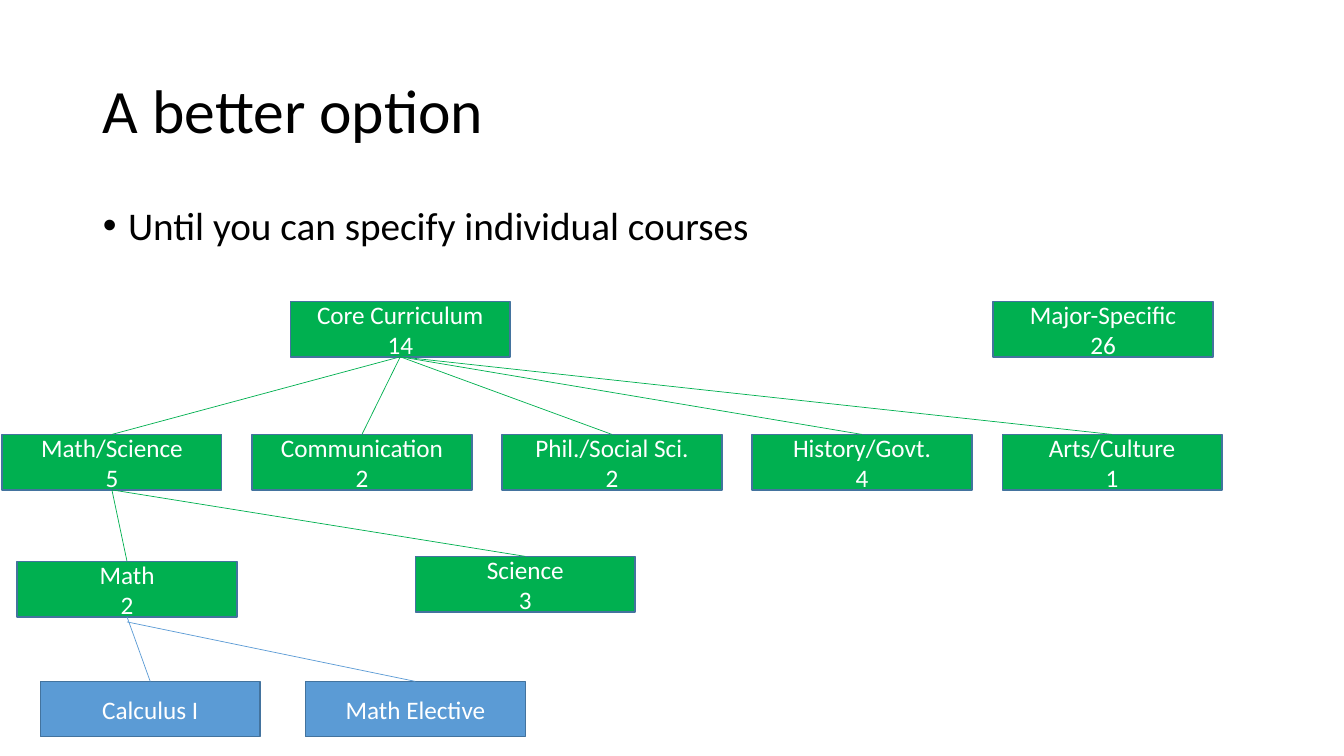
import pptx
import pptx.util
import pptx.dml.color
import pptx.enum.shapes
import pptx.enum.text
import pptx.oxml.ns
import lxml.etree

Inches = pptx.util.Inches
Pt = pptx.util.Pt
Align = pptx.enum.text.PP_ALIGN
Anchor = pptx.enum.text.MSO_ANCHOR

COLOURS = {"text": "000000", "label": "FFFFFF", "group": "00B050",
           "course": "5B9BD5", "border": "43739E"}
BOX_WIDTH, BOX_HEIGHT = 2.18, 0.55
BOTTOM, TOP = 2, 0  # connection sites of a rectangle


def colour(name):
    return pptx.dml.color.RGBColor.from_string(COLOURS[name])


def apply(target, values):
    for name, value in values.items():
        setattr(target, name, value)


class TreeSlide:
    font = "Calibri"

    def __init__(self, deck):
        self.slide = deck.slides.add_slide(deck.slide_layouts[1])

    def fill_text(self, frame, lines, size, ink, anchor, paragraph_format):
        apply(frame, {"word_wrap": True, "vertical_anchor": anchor,
                      "auto_size": pptx.enum.text.MSO_AUTO_SIZE.NONE})
        for index, line in enumerate(lines):
            para = frame.add_paragraph() if index else frame.paragraphs[0]
            apply(para, paragraph_format)
            span = para.add_run()
            span.text = line
            apply(span.font, {"name": self.font, "size": Pt(size)})
            span.font.color.rgb = colour(ink)

    def placeholder(self, index, place, lines, size, anchor, **paragraph_format):
        holder = self.slide.placeholders[index]
        apply(holder, dict(zip(("left", "top", "width", "height"), map(Inches, place))))
        self.fill_text(holder.text_frame, lines, size, "text", anchor,
                       {"alignment": Align.LEFT, "line_spacing": 0.9, **paragraph_format})
        return holder

    def bullets(self, place, lines):
        body = self.placeholder(1, place, lines, 28, Anchor.TOP, space_before=Pt(10))
        for para in body.text_frame.paragraphs:
            properties = para._p.get_or_add_pPr()
            properties.set("marL", str(Inches(0.25)))
            properties.set("indent", str(Inches(-0.25)))
            bullet = lxml.etree.SubElement(properties, pptx.oxml.ns.qn("a:buChar"))
            bullet.set("char", "\u2022")

    def box(self, left, top, *lines, fill="group"):
        box = self.slide.shapes.add_shape(
            pptx.enum.shapes.MSO_SHAPE.RECTANGLE,
            Inches(left), Inches(top), Inches(BOX_WIDTH), Inches(BOX_HEIGHT))
        box.shadow.inherit = False
        box.fill.solid()
        box.fill.fore_color.rgb = colour(fill)
        box.line.color.rgb = colour("border")
        box.line.width = Pt(1)
        self.fill_text(box.text_frame, lines, 18, "label", Anchor.MIDDLE,
                       {"alignment": Align.CENTER})
        return box

    def branch(self, parent, child, ink="group", drop=0):
        """Link parent to child; a drop starts the line below the parent."""
        line = self.slide.shapes.add_connector(
            pptx.enum.shapes.MSO_CONNECTOR.STRAIGHT,
            parent.left + parent.width // 2,
            parent.top + parent.height + Inches(drop),
            child.left + child.width // 2, child.top)
        if not drop:
            line.begin_connect(parent, BOTTOM)
        line.end_connect(child, TOP)
        line.line.color.rgb = colour(ink)
        line.line.width = Pt(0.5)
        lxml.etree.SubElement(line._element.spPr, pptx.oxml.ns.qn("a:effectLst"))


deck = pptx.Presentation()
apply(deck, {"slide_width": Inches(13.33), "slide_height": Inches(7.5)})
tree = TreeSlide(deck)

# Title and list
tree.placeholder(0, (0.92, 0.4, 11.5, 1.45), ["A better option"], 44, Anchor.MIDDLE)
tree.bullets((0.92, 2, 11.5, 4.76), ["Until you can specify individual courses"])

# Top level
tree.box(9.85, 2.99, "Major-Specific", "26")
core = tree.box(2.88, 2.99, "Core Curriculum", "14")

# Core areas, evenly spaced
AREAS = [("Math/Science", "5"), ("Communication", "2"), ("Phil./Social Sci.", "2"),
         ("History/Govt.", "4"), ("Arts/Culture", "1")]
areas = [tree.box(0.02 + 2.48 * column, 4.31, *area)
         for column, area in enumerate(AREAS)]
for area in areas:
    tree.branch(core, area)

# Parts of Math/Science
math_group = tree.box(0.17, 5.57, "Math", "2")
science = tree.box(4.12, 5.52, "Science", "3")
for part in (math_group, science):
    tree.branch(areas[0], part)

# Math courses
for left, course, drop in ((0.4, "Calculus I", 0), (3.03, "Math Elective", 0.05)):
    tree.branch(math_group, tree.box(left, 6.76, course, fill="course"), "course", drop)

deck.save("out.pptx")
